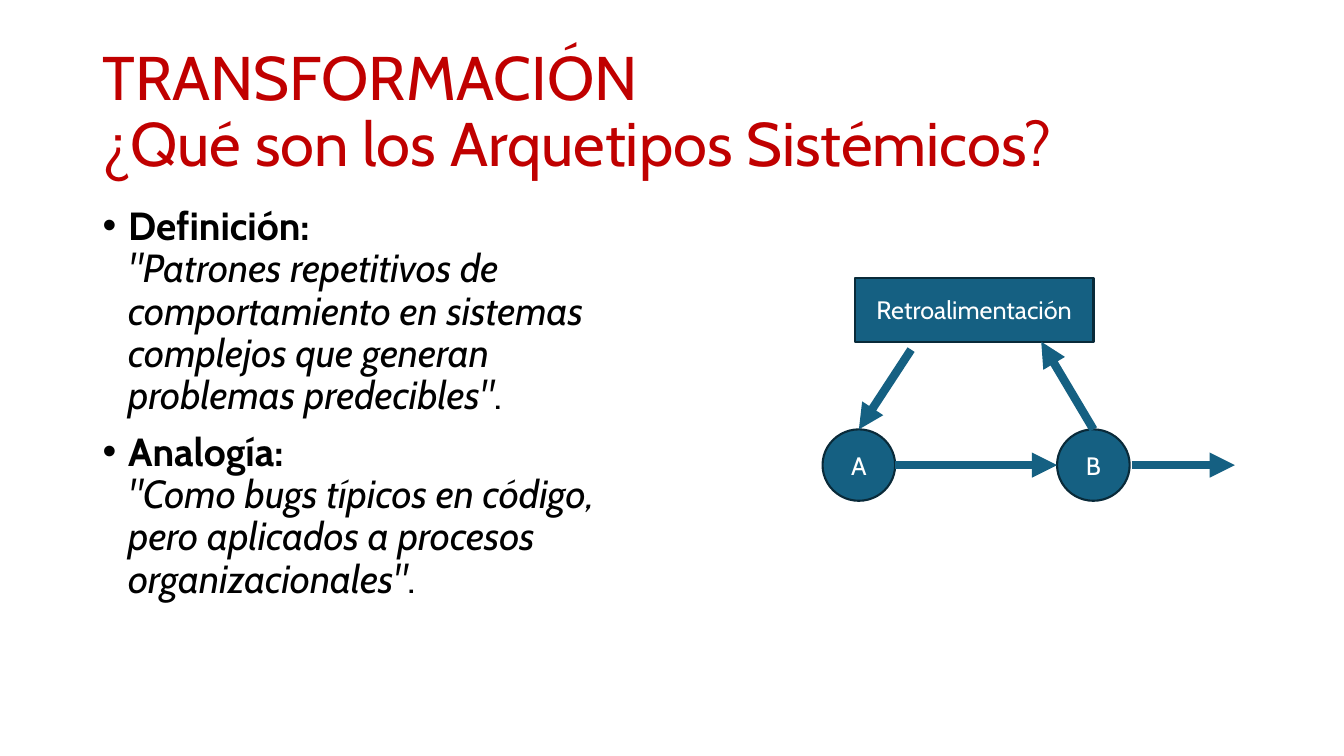
from dataclasses import dataclass

from lxml.etree import SubElement
from pptx import Presentation
from pptx.dml.color import RGBColor
from pptx.enum.shapes import MSO_CONNECTOR, MSO_SHAPE
from pptx.enum.text import MSO_ANCHOR, PP_ALIGN
from pptx.oxml.ns import qn
from pptx.util import Cm, Pt


@dataclass(frozen=True)
class Theme:
    font: str = "Cabin"
    title: RGBColor = RGBColor(0xC0, 0x00, 0x00)
    body: RGBColor = RGBColor(0x00, 0x00, 0x00)
    label: RGBColor = RGBColor(0xFF, 0xFF, 0xFF)
    fill: RGBColor = RGBColor(0x15, 0x60, 0x82)
    outline: RGBColor = RGBColor(0x09, 0x2A, 0x39)
    title_size: Pt = Pt(44)
    body_size: Pt = Pt(28)
    label_size: Pt = Pt(18)
    outline_width: Pt = Pt(1.5)
    arrow_width: Pt = Pt(6)


theme = Theme()


def add_span(para, text, size, color, bold=False, italic=False):
    span = para.add_run()
    span.text = text
    span.font.name = theme.font
    span.font.size = size
    span.font.color.rgb = color
    span.font.bold = bold
    span.font.italic = italic


deck = Presentation()
deck.slide_width, deck.slide_height = Cm(33.87), Cm(19.05)
page = deck.slides.add_slide(deck.slide_layouts[6])

# Title
title_box = page.shapes.add_textbox(Cm(2.34), Cm(1.02), Cm(29.21), Cm(3.68))
title_box.text_frame.word_wrap = True
title_box.text_frame.vertical_anchor = MSO_ANCHOR.MIDDLE
para = title_box.text_frame.paragraphs[0]
para.line_spacing = 0.9
add_span(para, "TRANSFORMACIÓN", theme.title_size, theme.title)
para.add_line_break()
add_span(para, "¿Qué son los Arquetipos Sistémicos?", theme.title_size, theme.title)

# Definition and analogy
concepts = [
    ("Definición:", '"Patrones repetitivos de comportamiento en sistemas '
                    'complejos que generan problemas predecibles"'),
    ("Analogía:", '"Como bugs típicos en código, pero aplicados a procesos '
                  'organizacionales"'),
]
body_box = page.shapes.add_textbox(Cm(2.34), Cm(5.08), Cm(14.4), Cm(12.09))
body = body_box.text_frame
body.word_wrap = True
for index, (heading, quote) in enumerate(concepts):
    para = body.add_paragraph() if index else body.paragraphs[0]
    para.line_spacing = 0.9
    para.space_before = Pt(10 if index else 0)
    properties = para._p.get_or_add_pPr()
    properties.set("marL", str(Cm(0.64)))
    properties.set("indent", str(-Cm(0.64)))
    SubElement(properties, qn("a:buFont"), typeface="Arial")
    SubElement(properties, qn("a:buChar"), char="•")
    add_span(para, heading, theme.body_size, theme.body, bold=True)
    para.add_line_break()
    add_span(para, quote, theme.body_size, theme.body, italic=True)
    add_span(para, ".", theme.body_size, theme.body)

# Feedback loop nodes
nodes = {}
for label, kind, left, top, width, height in [
    ("A", MSO_SHAPE.OVAL, 20.73, 10.82, 1.83, 1.8),
    ("B", MSO_SHAPE.OVAL, 26.64, 10.82, 1.83, 1.8),
    ("Retroalimentación", MSO_SHAPE.RECTANGLE, 21.54, 7.01, 6.02, 1.6),
]:
    node = page.shapes.add_shape(kind, Cm(left), Cm(top), Cm(width), Cm(height))
    node.shadow.inherit = False
    node.fill.solid()
    node.fill.fore_color.rgb = theme.fill
    node.line.color.rgb = theme.outline
    node.line.width = theme.outline_width
    node.text_frame.word_wrap = True
    node.text_frame.vertical_anchor = MSO_ANCHOR.MIDDLE
    para = node.text_frame.paragraphs[0]
    para.alignment = PP_ALIGN.CENTER
    add_span(para, label, theme.label_size, theme.label)
    nodes[label] = node

# Arrows: start, end, and the nodes whose top they leave from or reach
for x1, y1, x2, y2, source, target in [
    (22.56, 11.72, 26.64, 11.72, None, None),
    (28.52, 11.72, 31.12, 11.72, None, None),
    (27.56, 10.82, 26.24, 8.61, "B", None),
    (22.96, 8.81, 21.64, 10.82, None, "A"),
]:
    arrow = page.shapes.add_connector(
        MSO_CONNECTOR.STRAIGHT, Cm(x1), Cm(y1), Cm(x2), Cm(y2))
    if source:
        arrow.begin_connect(nodes[source], 0)
    if target:
        arrow.end_connect(nodes[target], 0)
    arrow.line.color.rgb = theme.fill
    arrow.line.width = theme.arrow_width
    SubElement(arrow.line._get_or_add_ln(), qn("a:tailEnd"), type="triangle")
    SubElement(arrow._element.spPr, qn("a:effectLst"))

deck.save("out.pptx")
